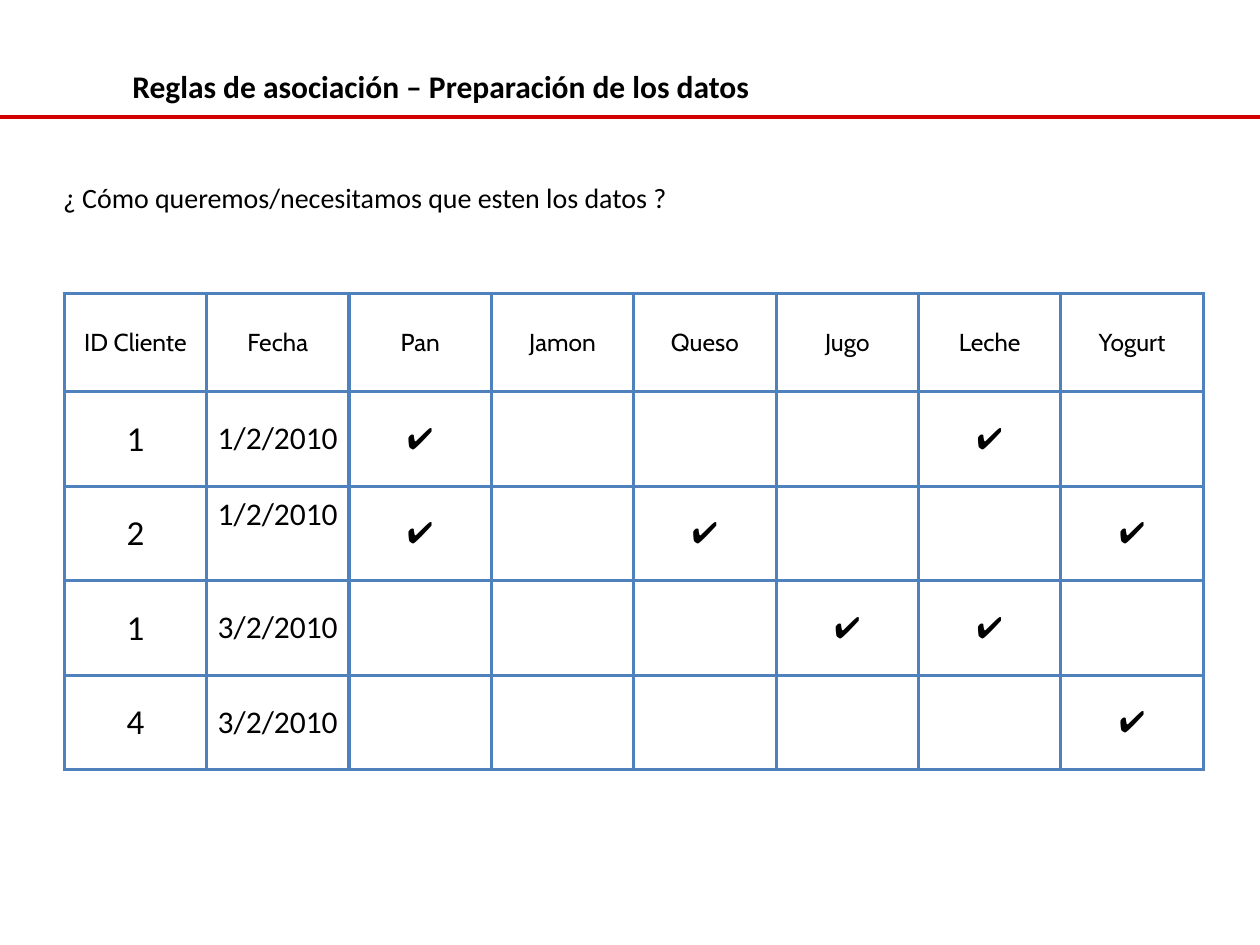
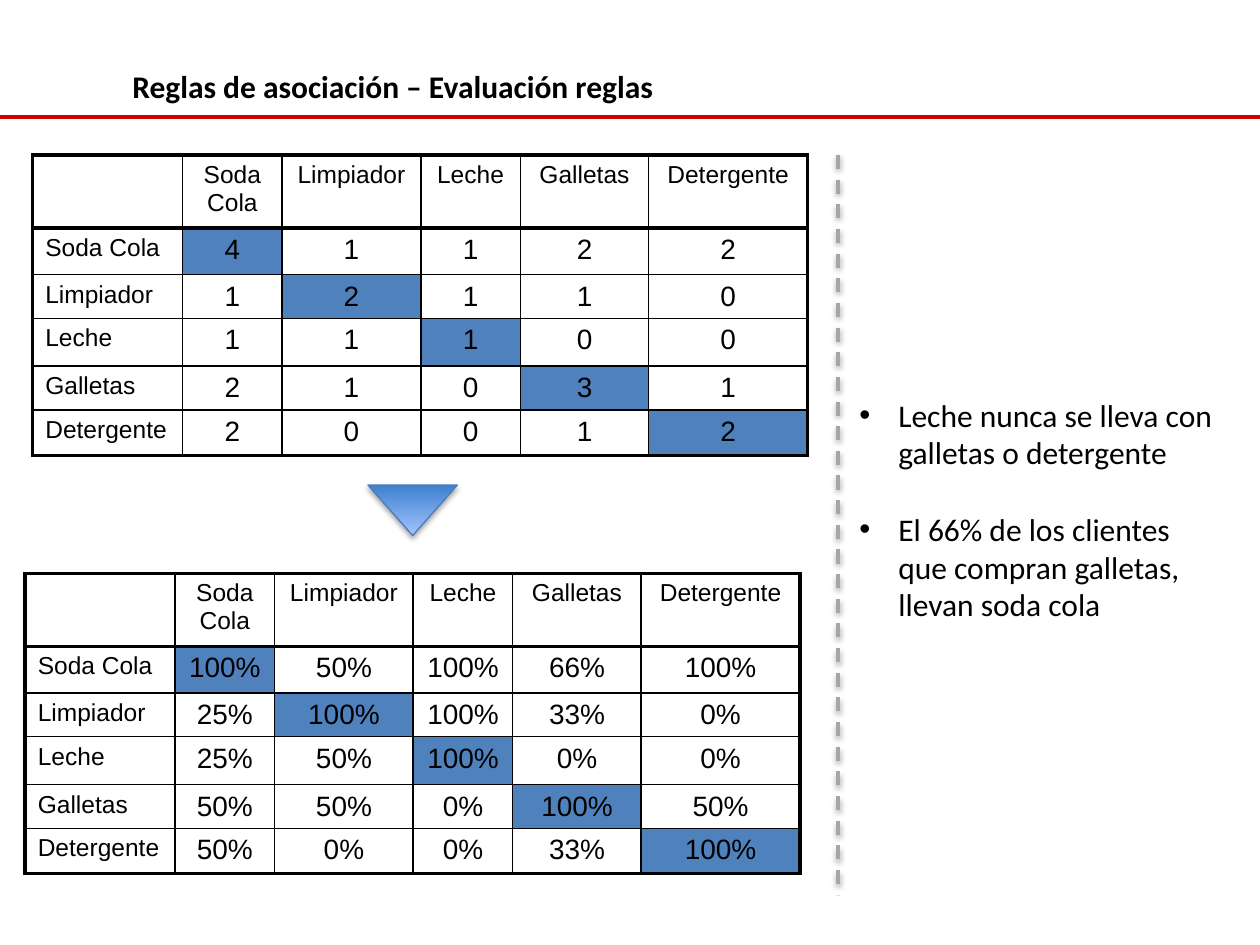
from lxml import etree
from pptx import Presentation
from pptx.dml.color import RGBColor
from pptx.enum.dml import MSO_LINE
from pptx.enum.shapes import MSO_CONNECTOR, MSO_SHAPE
from pptx.enum.text import MSO_ANCHOR, MSO_AUTO_SIZE, PP_ALIGN
from pptx.oxml.ns import qn
from pptx.util import Inches, Pt

LEFT, CENTER = PP_ALIGN.LEFT, PP_ALIGN.CENTER
TOP, MIDDLE = MSO_ANCHOR.TOP, MSO_ANCHOR.MIDDLE
NO_AUTOFIT = MSO_AUTO_SIZE.NONE
STRAIGHT, DASH = MSO_CONNECTOR.STRAIGHT, MSO_LINE.DASH
TRIANGLE = MSO_SHAPE.ISOSCELES_TRIANGLE

BLACK = RGBColor(0x00, 0x00, 0x00)
RED = RGBColor(0xD3, 0x00, 0x00)
BLUE = RGBColor(0x4F, 0x81, 0xBD)
GRAY = RGBColor(0xA6, 0xA6, 0xA6)
DEEP_BLUE = RGBColor(0x3F, 0x80, 0xCE)
PALE_BLUE = RGBColor(0xA4, 0xC4, 0xFF)
EDGE_BLUE = RGBColor(0x4B, 0x7E, 0xBC)

TITLE = {"name": "Calibri", "size": Pt(18), "bold": True}
LIST = {"name": "Calibri", "size": Pt(18)}
QUESTION = {"name": "Calibri", "size": Pt(16)}
PRODUCT = {"name": "Cabin", "size": Pt(14)}
CLIENT = {"name": "Calibri", "size": Pt(20)}
DATE = {"name": "Calibri", "size": Pt(18)}
CHECK = {"name": "Arial", "size": Pt(17)}
LABEL = {"name": "Arial", "size": Pt(14)}
NUMBER = {"name": "Arial", "size": Pt(16)}

THIN, THICK = 1, 2.25
SMALL_MARGIN = Inches(0.04)

BASKET_PRODUCTS = ["Pan", "Jamon", "Queso", "Jugo", "Leche", "Yogurt"]
BASKETS = [
    ("1", "1/2/2010", {"Pan", "Leche"}),
    ("2", "1/2/2010", {"Pan", "Queso", "Yogurt"}),
    ("1", "3/2/2010", {"Jugo", "Leche"}),
    ("4", "3/2/2010", {"Yogurt"}),
]
RULE_PRODUCTS = ["Soda Cola", "Limpiador", "Leche", "Galletas", "Detergente"]
COUNTS = [
    [4, 1, 1, 2, 2],
    [1, 2, 1, 1, 0],
    [1, 1, 1, 0, 0],
    [2, 1, 0, 3, 1],
    [2, 0, 0, 1, 2],
]
PERCENTAGES = [
    [100, 50, 100, 66, 100],
    [25, 100, 100, 33, 0],
    [25, 50, 100, 0, 0],
    [50, 50, 0, 100, 50],
    [50, 0, 0, 33, 100],
]
RULE_COLUMNS = [1.19, 0.79, 1.1, 0.79, 1.02, 1.26]
RULE_ROWS = [0.58, 0.37, 0.33, 0.38, 0.33, 0.36]


def set_values(target, values):
    for name, value in values.items():
        setattr(target, name, value)


def set_effects(shape, shadow=None):
    effects = etree.SubElement(shape._element.spPr, qn("a:effectLst"))
    if shadow:
        blur, distance, opacity = shadow
        outer = etree.SubElement(
            effects, qn("a:outerShdw"), blurRad=str(Pt(blur)), dist=str(Pt(distance)),
            dir="5400000", rotWithShape="0")
        color = etree.SubElement(outer, qn("a:srgbClr"), val=str(BLACK))
        etree.SubElement(color, qn("a:alpha"), val=str(opacity * 1000))


def set_bullet(para, hanging):
    properties = para._p.get_or_add_pPr()
    properties.set("marL", str(Inches(hanging)))
    properties.set("indent", str(-Inches(hanging)))
    if hanging:
        etree.SubElement(properties, qn("a:buFont"), typeface="Arial")
        etree.SubElement(properties, qn("a:buChar"), char="•")
    else:
        etree.SubElement(properties, qn("a:buNone"))


def set_borders(cell, color, widths):
    properties = cell._tc.get_or_add_tcPr()
    for side, width in zip("LRTB", widths):
        line = etree.SubElement(properties, qn(f"a:ln{side}"), w=str(Pt(width)))
        fill = etree.SubElement(line, qn("a:solidFill"))
        etree.SubElement(fill, qn("a:srgbClr"), val=str(color))


class Deck:
    def __init__(self):
        self.deck = Presentation()
        set_values(self.deck, {"slide_width": Inches(10), "slide_height": Inches(7.5)})
        self.page = None

    def add_page(self, title):
        self.page = self.deck.slides.add_slide(self.deck.slide_layouts[1])
        self.place(self.page.shapes.title, (0.95, 0.43, 7.2, 0.5), MIDDLE)
        self.add_text(self.page.shapes.title.text_frame.paragraphs[0], title, TITLE)
        self.add_line((0, 0.93), (10, 0.93), RED)

    def place(self, box, area, anchor):
        set_values(box, dict(zip(("left", "top", "width", "height"), map(Inches, area))))
        set_values(box.text_frame, {"word_wrap": True, "auto_size": NO_AUTOFIT,
                                    "vertical_anchor": anchor})

    def add_text(self, para, text, style, align=LEFT):
        set_values(para, {"alignment": align, "space_before": Pt(0)})
        span = para.add_run()
        span.text = text
        set_values(span.font, style)
        span.font.color.rgb = BLACK

    def add_body(self, area, texts, style, anchor=TOP, hanging=0, gap=0):
        body = self.page.placeholders[1]
        self.place(body, area, anchor)
        frame = body.text_frame
        for index, text in enumerate(texts):
            para = frame.add_paragraph() if index else frame.paragraphs[0]
            set_bullet(para, hanging)
            self.add_text(para, text, style)
            if index:
                para.space_before = Pt(gap)

    def add_line(self, start, end, color, dash=None, shadow=None):
        line = self.page.shapes.add_connector(STRAIGHT, *map(Inches, start + end))
        line.line.color.rgb = color
        set_values(line.line, {"width": Pt(2), "dash_style": dash})
        set_effects(line, shadow)

    def add_down_triangle(self, area):
        triangle = self.page.shapes.add_shape(TRIANGLE, *map(Inches, area))
        triangle.rotation = 180
        triangle.fill.gradient()
        triangle.fill.gradient_angle = 90
        for stop, color in zip(triangle.fill.gradient_stops, (DEEP_BLUE, PALE_BLUE)):
            stop.color.rgb = color
        triangle.line.color.rgb = EDGE_BLUE
        triangle.line.width = Pt(0.75)
        set_effects(triangle, (3.1, 1.8, 35))

    def add_grid(self, left, top, columns, rows):
        frame = self.page.shapes.add_table(
            len(rows), len(columns), Inches(left), Inches(top),
            Inches(sum(columns)), Inches(sum(rows)))
        table = frame.table
        set_values(table, {"first_row": False, "horz_banding": False})
        for column, width in zip(table.columns, columns):
            column.width = Inches(width)
        for row, height in zip(table.rows, rows):
            row.height = Inches(height)
        return table

    def fill_cell(self, cell, text, style, align, color=None):
        if color is None:
            cell.fill.background()
        else:
            cell.fill.solid()
            cell.fill.fore_color.rgb = color
        if text:
            self.add_text(cell.text_frame.paragraphs[0], text, style, align)

    def add_basket_table(self, left, top):
        values = [["ID Cliente", "Fecha"] + BASKET_PRODUCTS]
        for client, date, bought in BASKETS:
            values.append([client, date] + ["✔" if product in bought else ""
                                            for product in BASKET_PRODUCTS])
        styles = [CLIENT, DATE] + [CHECK] * len(BASKET_PRODUCTS)
        table = self.add_grid(left, top, [1.13] * len(styles), [0.78] + [0.75] * len(BASKETS))
        margins = dict.fromkeys(
            ("margin_left", "margin_right", "margin_top", "margin_bottom"), SMALL_MARGIN)
        for r, row in enumerate(values):
            for c, text in enumerate(row):
                cell = table.cell(r, c)
                set_values(cell, {**margins, "vertical_anchor": MIDDLE})
                set_borders(cell, BLUE, [2] * 4)
                self.fill_cell(cell, text, styles[c] if r else PRODUCT, CENTER)
        set_values(table.cell(2, 1), {"vertical_anchor": TOP, "margin_top": Inches(0.07)})

    def add_rule_table(self, left, top, numbers, suffix=""):
        table = self.add_grid(left, top, RULE_COLUMNS, RULE_ROWS)
        values = [[""] + RULE_PRODUCTS]
        for product, row in zip(RULE_PRODUCTS, numbers):
            values.append([product] + [f"{number}{suffix}" for number in row])
        last = len(RULE_PRODUCTS)
        for r, row in enumerate(values):
            for c, text in enumerate(row):
                cell = table.cell(r, c)
                thick_sides = (c == 0, c == last, r <= 1, r in (0, last))
                set_borders(cell, BLACK, [THICK if thick else THIN for thick in thick_sides])
                self.fill_cell(cell, text, NUMBER if r and c else LABEL,
                               CENTER if c else LEFT, BLUE if r == c > 0 else None)


def main():
    show = Deck()

    show.add_page("Reglas de asociación – Preparación de los datos")
    show.add_basket_table(0.51, 2.33)
    show.add_body((0.4, 1.36, 6, 0.42),
                  ["¿ Cómo queremos/necesitamos que esten los datos ?"], QUESTION, MIDDLE)

    show.add_page("Reglas de asociación – Evaluación reglas")
    show.add_rule_table(0.26, 1.23, COUNTS)
    show.add_rule_table(0.2, 4.55, PERCENTAGES, "%")
    show.add_down_triangle((2.92, 3.85, 0.71, 0.4))
    show.add_line((6.65, 1.23), (6.65, 7.1), GRAY, DASH, (3.1, 1.6, 38))
    show.add_body((6.72, 3.09, 3.08, 1.92),
                  ["Leche nunca se lleva con galletas o detergente",
                   "El 66% de los clientes que compran galletas, llevan soda cola"],
                  LIST, hanging=0.31, gap=22)

    show.deck.save("out.pptx")


if __name__ == "__main__":
    main()
